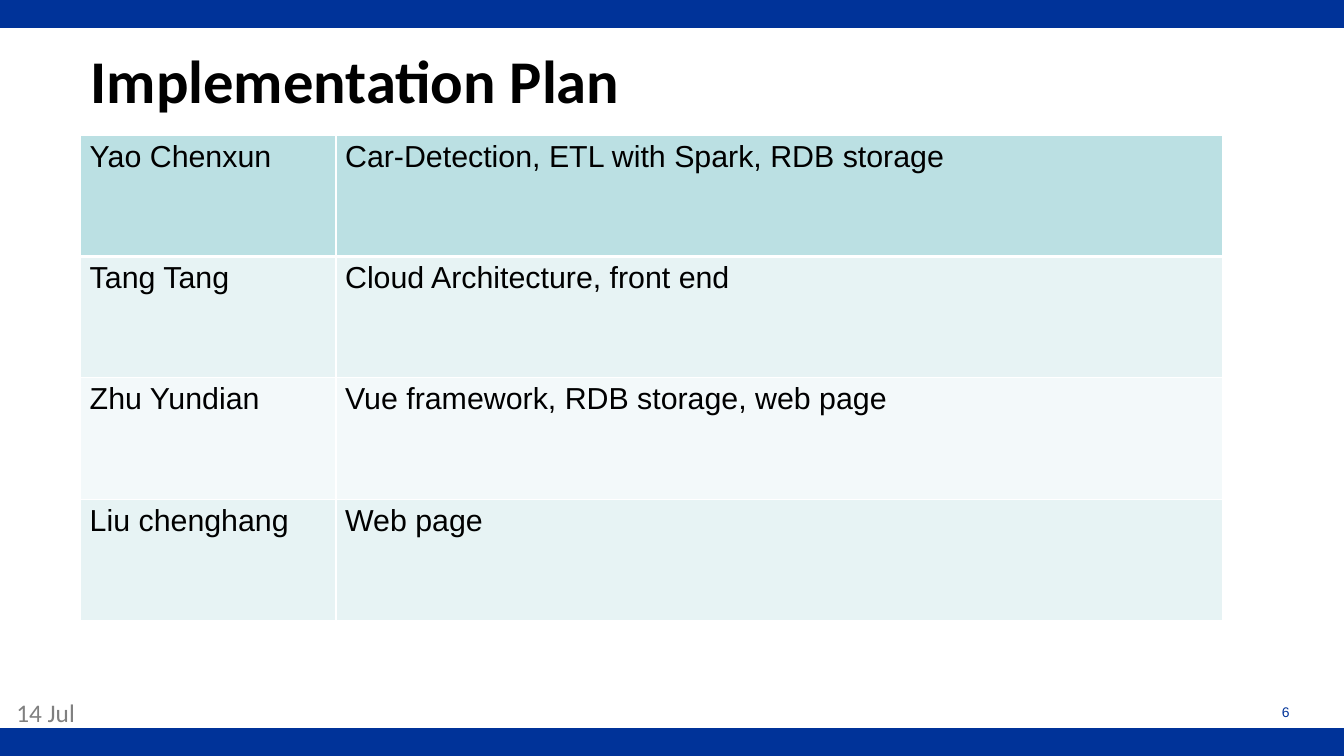
from lxml import etree
from pptx import Presentation
from pptx.dml.color import RGBColor
from pptx.enum.shapes import MSO_SHAPE
from pptx.enum.text import MSO_ANCHOR, PP_ALIGN
from pptx.oxml.ns import qn
from pptx.util import Inches, Pt

RECTANGLE = MSO_SHAPE.RECTANGLE
TOP, MIDDLE = MSO_ANCHOR.TOP, MSO_ANCHOR.MIDDLE
LEFT, RIGHT = PP_ALIGN.LEFT, PP_ALIGN.RIGHT

COLORS = {
    "bar": "003399", "ink": "000000", "date": "808080", "rule": "FFFFFF",
    "header": "BBE0E3", "odd": "E7F3F4", "even": "F3F9FA",
}
PLAN = [
    ("Yao Chenxun", "Car-Detection, ETL with Spark, RDB storage"),
    ("Tang Tang", "Cloud Architecture, front end"),
    ("Zhu Yundian", "Vue framework, RDB storage, web page"),
    ("Liu chenghang", "Web page"),
]
MARGIN, CONTENT = 6, 85
PLAN_COLUMNS = (19, 66)
PLAN_ROW = 16.04
BAR = 3.7


class Page:
    """Draws styled elements; lengths are percentages of the slide's size."""

    def __init__(self, deck):
        """Add a blank slide to the deck."""
        self.width, self.height = deck.slide_width, deck.slide_height
        self.slide = deck.slides.add_slide(deck.slide_layouts[6])

    def across(self, share):
        """Turn a share of the width into a length."""
        return round(self.width * share / 100)

    def down(self, share):
        """Turn a share of the height into a length."""
        return round(self.height * share / 100)

    def place(self, left, top, width, height):
        """Turn a box in shares into lengths."""
        return (self.across(left), self.down(top),
                self.across(width), self.down(height))

    def color(self, name):
        """Look up a named colour."""
        return RGBColor.from_string(COLORS[name])

    def bar(self, top):
        """Draw a full-width band."""
        bar = self.slide.shapes.add_shape(RECTANGLE, *self.place(0, top, 100, BAR))
        bar.shadow.inherit = False
        bar.fill.solid()
        bar.fill.fore_color.rgb = self.color("bar")
        bar.line.fill.background()

    def style_text(self, frame, text, size, font="Arial", color="ink", bold=False, align=LEFT):
        """Put one styled paragraph in a text frame."""
        frame.text = text
        para = frame.paragraphs[0]
        para.alignment = align
        for span in para.runs:
            span.font.size = Pt(size)
            span.font.name = font
            span.font.bold = bold
            span.font.color.rgb = self.color(color)

    def text(self, box, text, size, anchor=TOP, insets=(0.11, 0.06), **style):
        """Add a wrapped text box with side and top insets in inches."""
        frame = self.slide.shapes.add_textbox(*self.place(*box)).text_frame
        frame.word_wrap = True
        frame.vertical_anchor = anchor
        frame.margin_left = frame.margin_right = Inches(insets[0])
        frame.margin_top = frame.margin_bottom = Inches(insets[1])
        self.style_text(frame, text, size, **style)

    def borders(self, cell, bottom):
        """Rule a cell, with its own bottom weight in points."""
        properties = cell._tc.get_or_add_tcPr()
        weights = {"a:lnL": 1, "a:lnR": 1, "a:lnT": 1, "a:lnB": bottom}
        for position, (side, weight) in enumerate(weights.items()):
            line = etree.Element(qn(side), w=str(Pt(weight)))
            fill = etree.SubElement(line, qn("a:solidFill"))
            etree.SubElement(fill, qn("a:srgbClr"), val=COLORS["rule"])
            properties.insert(position, line)

    def table(self, left, top, columns, row_height, rows, size):
        """Add a table with a header row and banded rows."""
        box = self.place(left, top, sum(columns), row_height * len(rows))
        table = self.slide.shapes.add_table(len(rows), len(columns), *box).table
        for column, share in zip(table.columns, columns):
            column.width = self.across(share)
        for index, values in enumerate(rows):
            table.rows[index].height = self.down(row_height)
            band = "header" if index == 0 else "odd" if index % 2 else "even"
            for cell, value in zip(table.rows[index].cells, values):
                self.style_text(cell.text_frame, value, size)
                cell.fill.solid()
                cell.fill.fore_color.rgb = self.color(band)
                self.borders(cell, bottom=1 if index else 3)


deck = Presentation()
deck.slide_width, deck.slide_height = Inches(14.77), Inches(8.31)
page = Page(deck)
for top in (100 - BAR, 0):
    page.bar(top)
page.text((MARGIN, 4.2, CONTENT, 12.6), "Implementation Plan", 48,
          anchor=MIDDLE, font="Calibri", bold=True)
page.text((75.8, 92.3, 20.9, 6.6), "6", 11, color="bar", align=RIGHT)
page.text((0, 91.2, 33.3, 6), "14 Jul", 20, insets=(0.18, 0.08),
          font="Calibri", color="date")
page.table(MARGIN, 17.9, PLAN_COLUMNS, PLAN_ROW, PLAN, 24)
deck.save("out.pptx")
